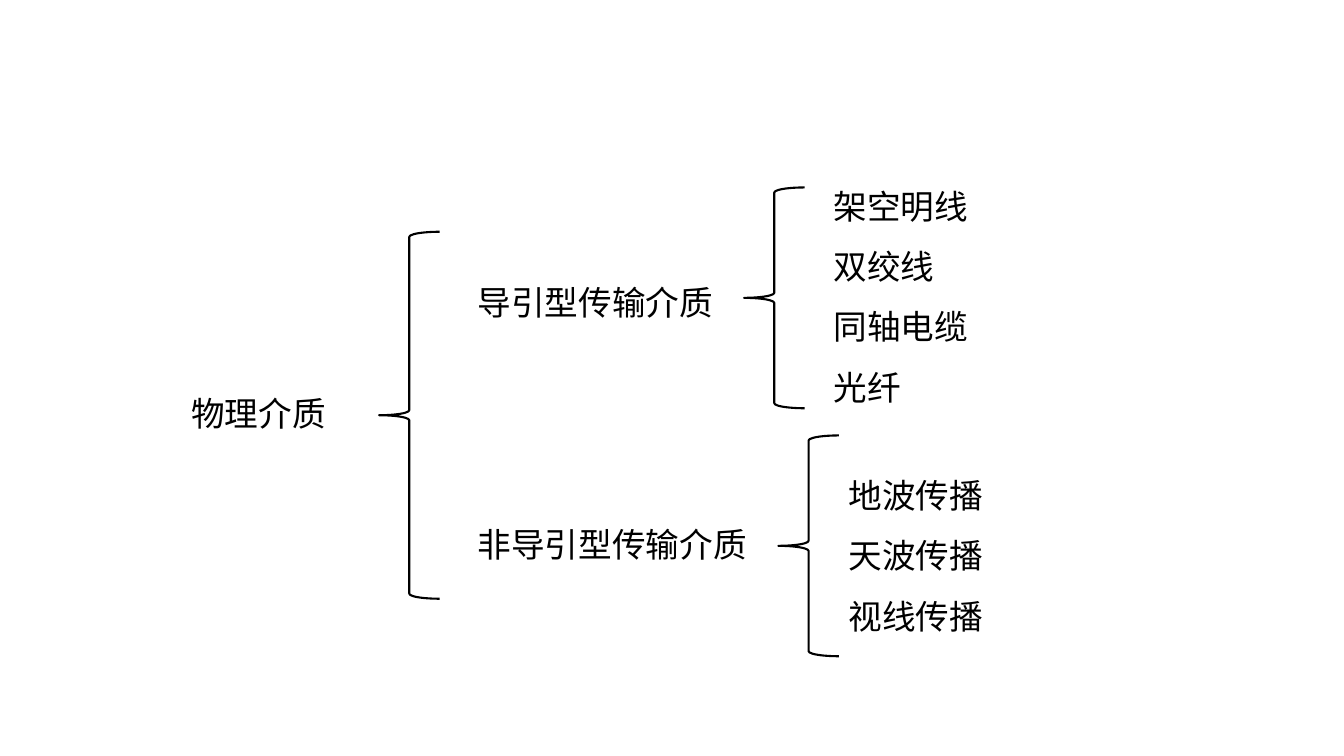
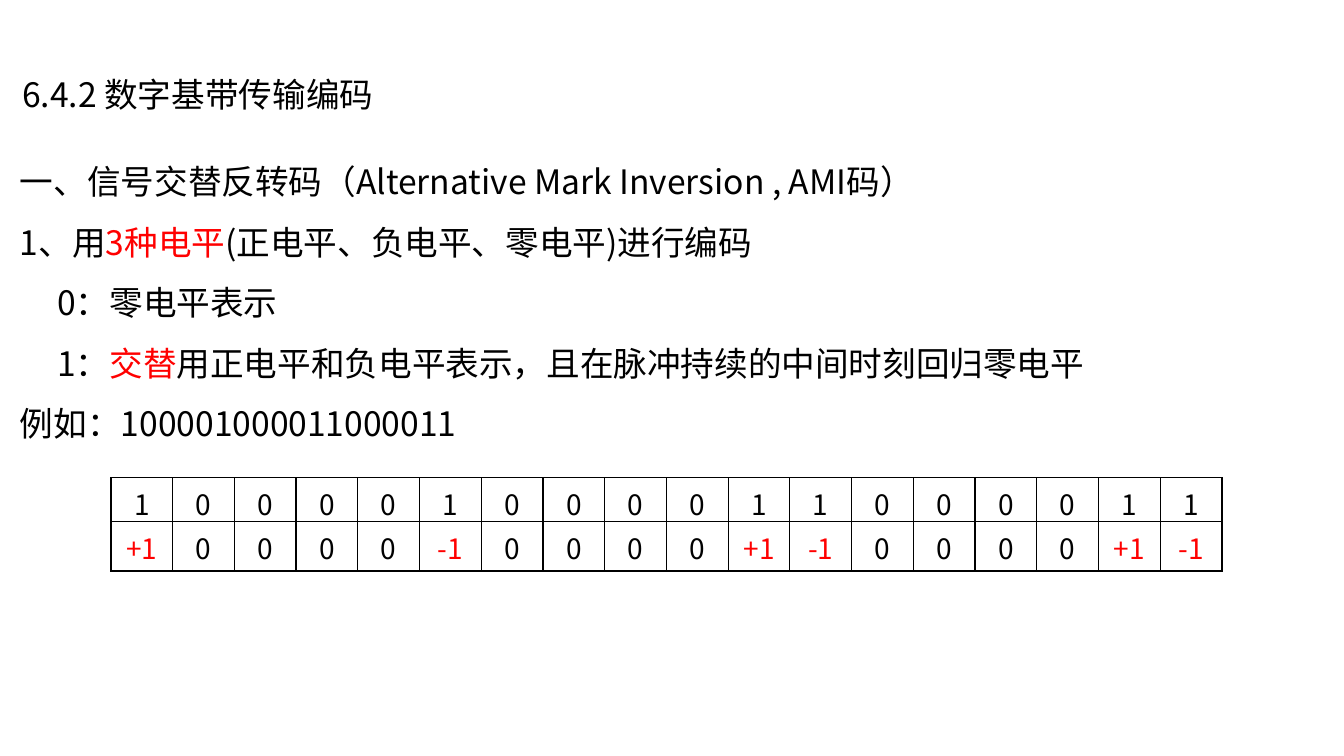
from itertools import cycle

from lxml.etree import SubElement
from pptx import Presentation
from pptx.dml.color import RGBColor
from pptx.enum.shapes import MSO_SHAPE as Preset
from pptx.enum.text import MSO_ANCHOR as Anchor, MSO_AUTO_SIZE as AutoSize, PP_ALIGN as Align
from pptx.oxml import parse_xml
from pptx.oxml.ns import nsdecls, qn
from pptx.util import Emu, Pt

BLACK, RED = "000000", "FF0000"
FONT = "Noto Sans CJK SC"
EMU_PER_PX = 9144
TITLE_ONLY, BLANK = 5, 6


def px(*lengths):
    return [Emu(length * EMU_PER_PX) for length in lengths]


def colour(hex_text):
    return RGBColor.from_string(hex_text)


class Deck:
    body_size, cell_size, spacing = 24, 20, 1.5

    def __init__(self):
        self.file = Presentation()
        self.file.slide_width, self.file.slide_height = px(1333, 750)
        self.slide = None

    def new_slide(self, layout):
        self.slide = self.file.slides.add_slide(self.file.slide_layouts[layout])

    def style(self, paragraph, size, align=Align.LEFT, ink=BLACK):
        paragraph.alignment = align
        font = paragraph.font
        font.size, font.name, font.bold = Pt(size), FONT, False
        font.color.rgb = colour(ink)
        SubElement(font._element, qn("a:ea"), typeface=FONT)

    def set_lines(self, frame, lines, indents=()):
        for number, line in enumerate(lines):
            paragraph = frame.add_paragraph() if number else frame.paragraphs[0]
            if number in indents:
                properties = paragraph._p.get_or_add_pPr()
                properties.set("marL", str(px(37)[0]))
                properties.set("indent", "0")
            paragraph.line_spacing = self.spacing
            self.style(paragraph, self.body_size)
            for position, part in enumerate(line.split("*")):
                run = paragraph.add_run()
                run.text = part
                if position % 2:
                    run.font.color.rgb = colour(RED)

    def title(self, text, box):
        heading = self.slide.shapes.title
        heading.left, heading.top, heading.width, heading.height = px(*box)
        frame = heading.text_frame
        frame.word_wrap, frame.auto_size = True, AutoSize.NONE
        frame.vertical_anchor = Anchor.MIDDLE
        frame.margin_left, frame.margin_right = px(12, 12)
        frame.margin_top, frame.margin_bottom = px(6, 6)
        self.set_lines(frame, [text])

    def text(self, lines, box, indents=()):
        frame = self.slide.shapes.add_textbox(*px(*box)).text_frame
        frame.word_wrap = True
        self.set_lines(frame, lines, indents)

    def brace(self, box):
        brace = self.slide.shapes.add_shape(Preset.LEFT_BRACE, *px(*box))
        brace.shadow.inherit = False
        brace.fill.background()
        brace.line.color.rgb = colour(BLACK)
        brace.line.width = Pt(1.5)

    def border(self, cell):
        properties = cell._tc.get_or_add_tcPr()
        for place, side in enumerate("LRTB"):
            properties.insert(place, parse_xml(
                f'<a:ln{side} {nsdecls("a")} w="{Pt(1)}"><a:solidFill>'
                f'<a:srgbClr val="{BLACK}"/></a:solidFill></a:ln{side}>'))

    def table(self, rows, box, heights):
        holder = self.slide.shapes.add_table(len(rows), len(rows[0]), *px(*box))
        grid = holder.table
        grid.first_row = grid.horz_banding = False
        for column in grid.columns:
            column.width = Emu(px(box[2])[0] // len(rows[0]))
        for row, height, values in zip(grid.rows, px(*heights), rows):
            row.height = height
            for cell, value in zip(row.cells, values):
                cell.text = value
                cell.fill.background()
                self.border(cell)
                ink = RED if value[0] in "+-" else BLACK
                self.style(cell.text_frame.paragraphs[0], self.cell_size, Align.CENTER, ink)
        holder.height = px(box[3])[0]


def ami(bits):
    polarity = cycle(("+1", "-1"))
    return [next(polarity) if bit == "1" else "0" for bit in bits]


def media_slide(deck):
    deck.new_slide(BLANK)
    deck.text(["物理介质"], (180, 365, 168, 72))
    deck.brace((376, 230, 60, 364))
    deck.text(["导引型传输介质"], (464, 255, 274, 72))
    deck.brace((738, 186, 60, 219))
    deck.text(["架空明线", "双绞线", "同轴电缆", "光纤"], (817, 159, 277, 252))
    deck.text(["非导引型传输介质"], (464, 495, 308, 72))
    deck.brace((772, 432, 60, 219))
    deck.text(["地波传播", "天波传播", "视线传播"], (832, 446, 277, 192))


def coding_slide(deck):
    bits = "100001000011000011"
    deck.new_slide(TITLE_ONLY)
    deck.title("6.4.2 数字基带传输编码", (10, 31, 395, 104))
    deck.text([
        "一、信号交替反转码（Alternative Mark Inversion , AMI码）",
        "1、用*3种电平*(正电平、负电平、零电平)进行编码",
        "0：零电平表示",
        "1：*交替*用正电平和负电平表示，且在脉冲持续的中间时刻回归零电平",
        f"例如：{bits}",
    ], (10, 135, 1130, 306), indents=(2, 3))
    deck.table([list(bits), ami(bits)], (110, 474, 1102, 92), (28, 49))


def main():
    deck = Deck()
    media_slide(deck)
    coding_slide(deck)
    deck.file.save("out.pptx")


if __name__ == "__main__":
    main()
